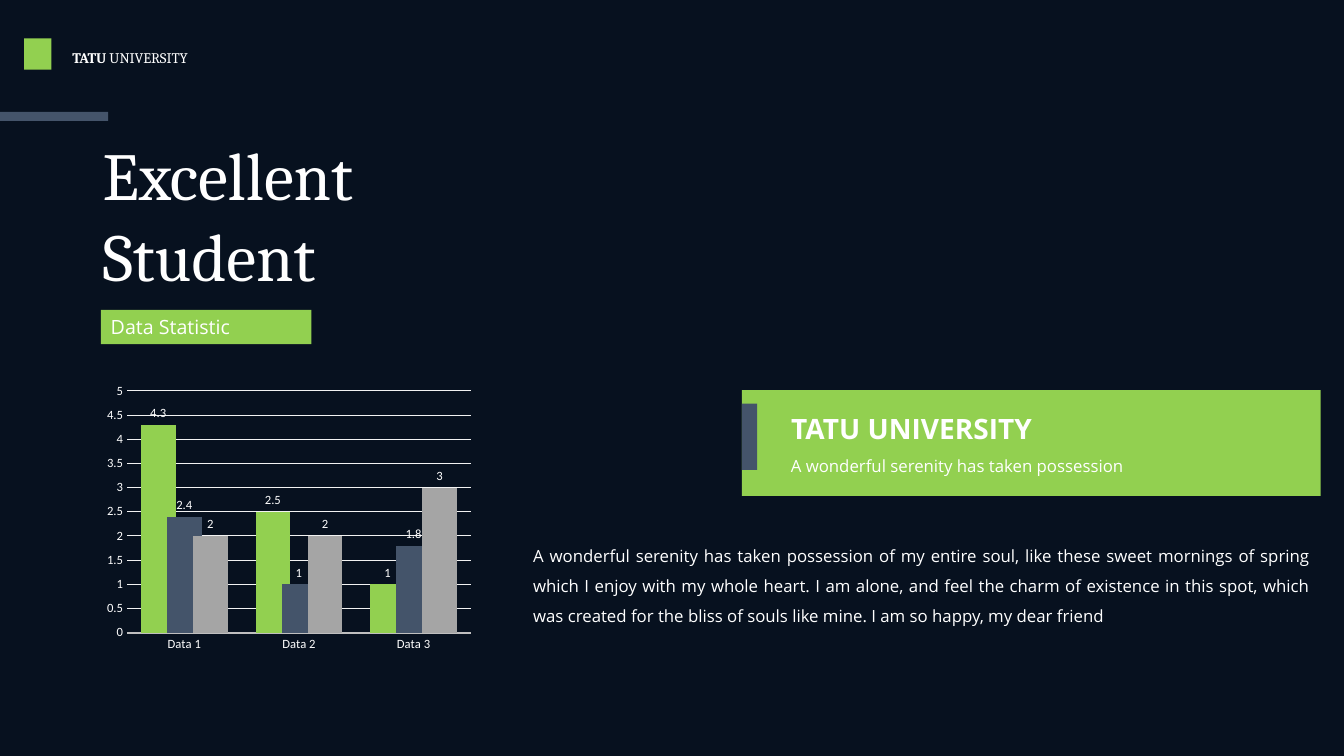
"""Build the Excellent Student slide with its statistics chart and banner."""
from pptx import Presentation
from pptx.chart.data import CategoryChartData
from pptx.dml.color import RGBColor
from pptx.enum.chart import XL_CHART_TYPE as ChartType, XL_LABEL_POSITION as LabelPosition
from pptx.enum.chart import XL_TICK_MARK as TickMark
from pptx.enum.shapes import MSO_SHAPE as Shape
from pptx.enum.text import MSO_ANCHOR as Anchor, MSO_AUTO_SIZE as AutoSize, PP_ALIGN as Align
from pptx.util import Inches, Pt

color = RGBColor.from_string
NAVY, GREEN, SLATE, GRAY, WHITE = "07111F", "92D050", "44546A", "A5A5A5", "FFFFFF"

presentation = Presentation()
presentation.slide_width, presentation.slide_height = Inches(13.33), Inches(7.5)
column, row = presentation.slide_width / 100, presentation.slide_height / 100


def cells(left, top, width, height):
    """Turn columns and rows of a 100 by 100 grid into slide lengths."""
    return int(left * column), int(top * row), int(width * column), int(height * row)


def write(frame, runs, size, font, align=Align.LEFT, spacing=None, anchor=Anchor.TOP):
    """Fill a text frame with one paragraph of (text, bold) runs."""
    frame.word_wrap, frame.auto_size, frame.vertical_anchor = True, AutoSize.NONE, anchor
    paragraph = frame.paragraphs[0]
    paragraph.alignment, paragraph.line_spacing = align, spacing
    for text, bold in runs:
        run = paragraph.add_run()
        run.text = text
        run.font.size, run.font.name, run.font.bold = Pt(size), font, bold
        run.font.color.rgb = color(WHITE)


slide = presentation.slides.add_slide(presentation.slide_layouts[5])
slide.background.fill.solid()
slide.background.fill.fore_color.rgb = color(NAVY)

title = slide.shapes.title
title.left, title.top, title.width, title.height = cells(6.88, 17.9, 25.88, 20.8)
write(title.text_frame, [("Excellent Student", False)], 48, "Cambria", anchor=Anchor.MIDDLE)

panels = [
    (SLATE, 0, 14.8, 8.05, 1.2),
    (GREEN, 1.8, 5.07, 2.03, 4.13),
    (GREEN, 55.2, 51.6, 43.07, 14),
    (SLATE, 55.2, 53.4, 1.13, 8.75),
    (GREEN, 7.5, 41, 15.68, 4.53),
]
for fill, *area in panels:
    panel = slide.shapes.add_shape(Shape.RECTANGLE, *cells(*area))
    panel.shadow.inherit = False
    panel.fill.solid()
    panel.fill.fore_color.rgb = color(fill)
    panel.line.fill.background()
write(panel.text_frame, [("Data Statistic", False)], 14, "Open Sans", anchor=Anchor.MIDDLE)

story = (
    "A wonderful serenity has taken possession of my entire soul, like these sweet mornings of "
    "spring which I enjoy with my whole heart. I am alone, and feel the charm of existence in this "
    "spot, which was created for the bliss of souls like mine. I am so happy, my dear friend"
)
texts = [
    ((4.65, 5.8, 11.33, 3.73), [("TATU ", True), ("UNIVERSITY", False)], 10.5, "Cambria", Align.LEFT, None),
    ((58.13, 53.73, 35.18, 5.87), [("TATU UNIVERSITY", True)], 20, "Open Sans", Align.LEFT, None),
    ((58.1, 58.27, 31.8, 4.93), [("A wonderful serenity has taken possession", False)],
     12, "Open Sans", Align.LEFT, 1.5),
    ((38.93, 70.2, 59.33, 13.07), [(story, False)], 12, "Open Sans", Align.JUSTIFY, 1.5),
]
for area, *content in texts:
    write(slide.shapes.add_textbox(*cells(*area)).text_frame, *content)

data = CategoryChartData()
data.categories = ["Data 1", "Data 2", "Data 3"]
data.add_series("Series 1", (4.3, 2.5, 1))
data.add_series("Series 2", (2.4, 1, 1.8))
data.add_series("Series 3", (2, 2, 3))
chart = slide.shapes.add_chart(
    ChartType.COLUMN_CLUSTERED, *cells(7.4, 50, 28.2, 36.9), data).chart
chart.has_legend = chart.has_title = False
chart.font.size, chart.font.name = Pt(9), "Calibri"
chart.font.color.rgb = color(WHITE)

plot = chart.plots[0]
plot.gap_width, plot.overlap, plot.vary_by_categories = 80, 25, False
for series, fill in zip(plot.series, (GREEN, SLATE, GRAY)):
    series.format.fill.solid()
    series.format.fill.fore_color.rgb = color(fill)
    labels = series.data_labels
    labels.show_value, labels.position = True, LabelPosition.OUTSIDE_END
    labels.font.size, labels.font.name = Pt(9), "Calibri"
    labels.font.color.rgb = color(WHITE)

category_axis, value_axis = chart.category_axis, chart.value_axis
category_axis.major_tick_mark = value_axis.major_tick_mark = TickMark.NONE
category_axis.format.line.color.rgb = color("BFBFBF")
category_axis.format.line.width = Pt(1.25)
value_axis.minimum_scale, value_axis.maximum_scale, value_axis.major_unit = 0, 5, 0.5
value_axis.format.line.fill.background()
gridline = value_axis.major_gridlines.format.line
gridline.color.rgb = color("F2F2F2")
gridline.width = Pt(0.75)

presentation.save("out.pptx")
